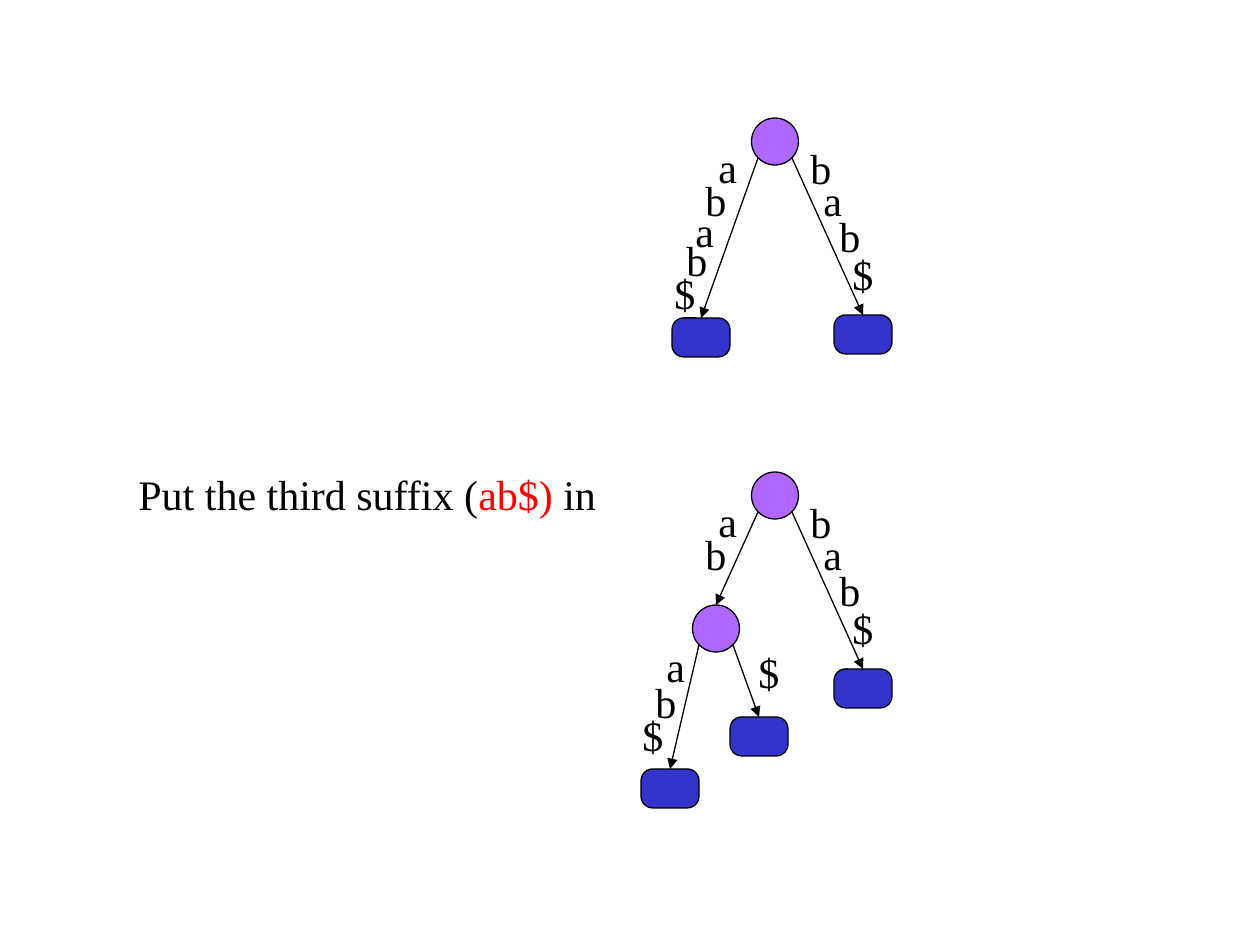
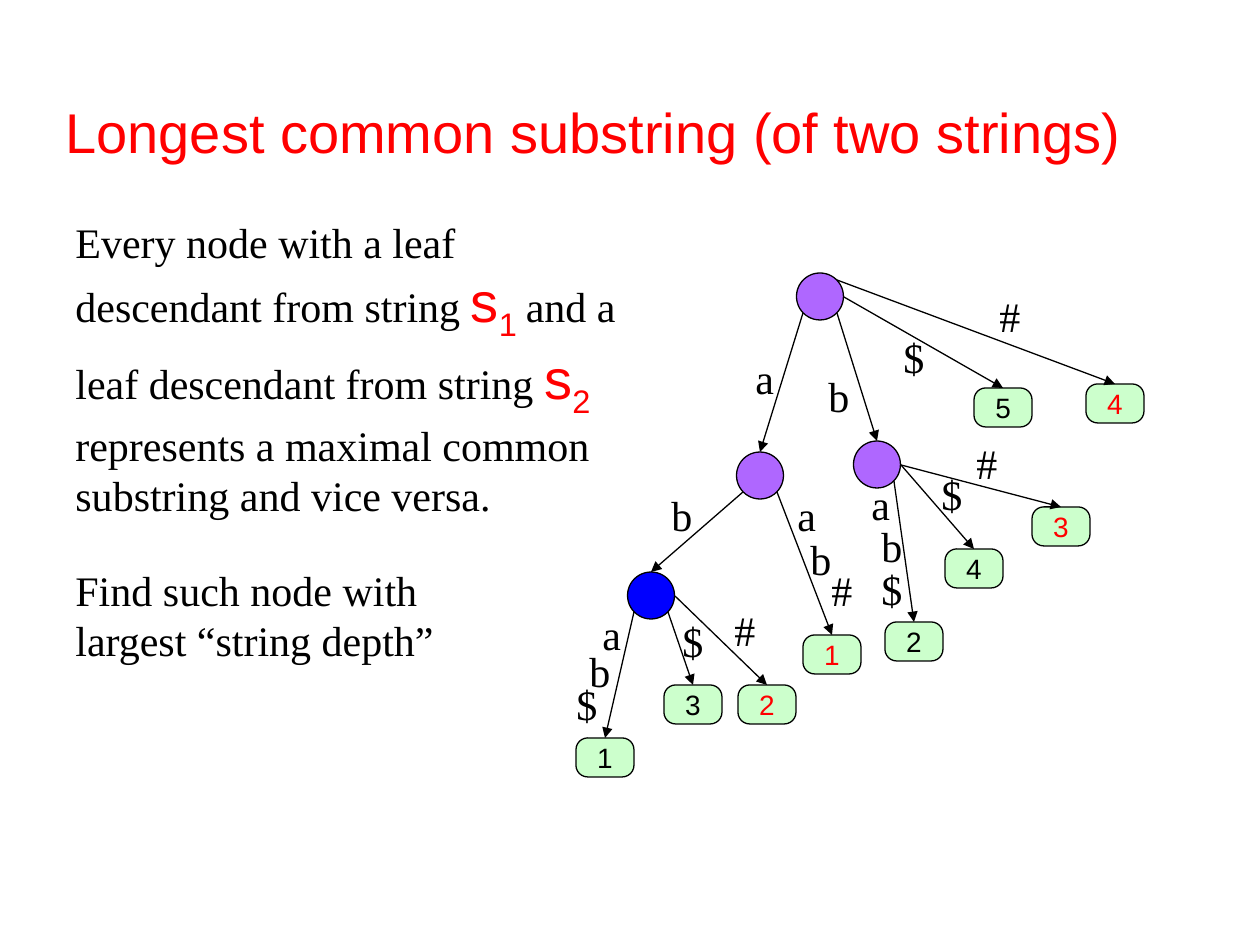
from pptx import Presentation
from pptx.dml.color import RGBColor
from pptx.enum.shapes import MSO_CONNECTOR as CONNECTOR, MSO_SHAPE as SHAPE
from pptx.enum.text import MSO_ANCHOR as ANCHOR, PP_ALIGN as ALIGN
from pptx.oxml.ns import qn
from pptx.util import Emu, Pt
from lxml.etree import SubElement

PX = 914400 / 126
SLIDE_SIZE = (1260, 945)

BLACK = RGBColor(0x00, 0x00, 0x00)
RED = RGBColor(0xFF, 0x00, 0x00)
PURPLE = RGBColor(0xAF, 0x67, 0xFF)
BLUE = RGBColor(0x00, 0x00, 0xFF)
INDIGO = RGBColor(0x33, 0x33, 0xCC)
MINT = RGBColor(0xCC, 0xFF, 0xCC)

BODY = {"name": "Times New Roman", "size": Pt(24)}
HEADING = {"name": "Arial", "size": Pt(32)}
LEAF_LABEL = {"name": "Arial", "size": Pt(16)}

NODE_SIZE = 47
LEAF_SIZE = (58, 39)
LETTER_SIZE = (53, 63)

# Where an edge leaves a node, measured from the node's top centre
LOWER_LEFT, LOWER_RIGHT = (-17, 40), (17, 40)
RIGHT, UPPER_RIGHT = (24, 24), (17, 7)


def px(*lengths):
    return [Emu(round(length * PX)) for length in lengths]


def add_run(paragraph, text, style, color=BLACK, subscript=False):
    run = paragraph.add_run()
    run.text = text
    for attribute, value in style.items():
        setattr(run.font, attribute, value)
    run.font.color.rgb = color
    if subscript:
        run.font._element.set("baseline", "-25000")


def add_text(slide, box, *paragraphs):
    """Each paragraph is a list of add_run argument tuples."""
    frame = slide.shapes.add_textbox(*px(*box)).text_frame
    frame.word_wrap = True
    for index, runs in enumerate(paragraphs):
        paragraph = frame.add_paragraph() if index else frame.paragraphs[0]
        for run in runs:
            add_run(paragraph, *run)


def add_outlined(slide, preset, box, fill):
    shape = slide.shapes.add_shape(preset, *px(*box))
    shape.shadow.inherit = False
    shape.fill.solid()
    shape.fill.fore_color.rgb = fill
    shape.line.color.rgb = BLACK
    shape.line.width = Pt(0.75)
    return shape


def add_node(slide, top_center, fill=PURPLE):
    x, y = top_center
    add_outlined(slide, SHAPE.OVAL,
                 (x - NODE_SIZE / 2, y, NODE_SIZE, NODE_SIZE), fill)


def add_leaf(slide, top_center, fill=INDIGO, label="", color=BLACK):
    x, y = top_center
    width, height = LEAF_SIZE
    leaf = add_outlined(slide, SHAPE.ROUNDED_RECTANGLE,
                        (x - width / 2, y, width, height), fill)
    leaf.adjustments[0] = 0.3
    if label:
        frame = leaf.text_frame
        frame.word_wrap = False
        frame.vertical_anchor = ANCHOR.MIDDLE
        frame.paragraphs[0].alignment = ALIGN.CENTER
        add_run(frame.paragraphs[0], label, LEAF_LABEL, color)


def add_branch(slide, parent, exit_side, child, *letters):
    """Draw an arrow to the child's top centre, with its (letter, x, y) labels."""
    start = (parent[0] + exit_side[0], parent[1] + exit_side[1])
    edge = slide.shapes.add_connector(CONNECTOR.STRAIGHT, *px(*start, *child))
    edge.line.color.rgb = BLACK
    edge.line.width = Pt(0.75)
    SubElement(edge.line._get_or_add_ln(), qn("a:tailEnd"), type="triangle")
    SubElement(edge._element.spPr, qn("a:effectLst"))
    for letter, x, y in letters:
        add_text(slide, (x, y, *LETTER_SIZE), [(letter, BODY)])


def add_root_with_bab(slide, top):
    """Draw the root and its right branch, and return the root."""
    root, leaf = (775, top), (863, top + 197)
    add_node(slide, root)
    add_leaf(slide, leaf)
    add_branch(slide, root, LOWER_RIGHT, leaf, ("b", 798, top + 18),
               ("a", 811, top + 50), ("b", 827, top + 86), ("$", 840, top + 124))
    return root


def build_third_suffix(slide):
    add_text(slide, (126, 462, 483, 63),
             [("Put the third suffix (", BODY), ("ab$)", BODY, RED), (" in", BODY)])

    root, abab = add_root_with_bab(slide, 118), (701, 318)
    add_leaf(slide, abab)
    add_branch(slide, root, LOWER_LEFT, abab, ("a", 706, 135), ("b", 693, 168),
               ("a", 683, 199), ("b", 674, 228), ("$", 662, 261))

    root = add_root_with_bab(slide, 472)
    ab, abab, ab_end = (716, 605), (670, 769), (759, 717)
    add_node(slide, ab)
    for leaf in (abab, ab_end):
        add_leaf(slide, leaf)
    add_branch(slide, root, LOWER_LEFT, ab, ("a", 706, 489), ("b", 693, 522))
    add_branch(slide, ab, LOWER_LEFT, abab,
               ("a", 654, 634), ("b", 643, 670), ("$", 630, 703))
    add_branch(slide, ab, LOWER_RIGHT, ab_end, ("$", 746, 640))


def build_common_substring(slide):
    add_text(slide, (53, 91, 1166, 79),
             [("Longest common substring (of two strings)", HEADING, RED)])
    add_text(slide, (63, 210, 588, 297),
             [("Every node with a leaf descendant from string ", BODY),
              ("s", HEADING, RED), ("1 ", HEADING, RED, True),
              ("and a leaf descendant from string ", BODY),
              ("s", HEADING, RED), ("2", HEADING, RED, True)],
             [("represents a maximal common substring and vice versa.", BODY)])
    add_text(slide, (63, 558, 462, 113),
             [("Find such node with largest “string depth”", BODY)])

    root, a, b, ab = (820, 273), (760, 452), (877, 441), (651, 572)
    for node in (root, a, b):
        add_node(slide, node)
    add_node(slide, ab, BLUE)
    add_branch(slide, root, LOWER_LEFT, a, ("a", 743, 346))
    add_branch(slide, root, LOWER_RIGHT, b, ("b", 816, 364))
    add_branch(slide, a, LOWER_LEFT, ab, ("b", 659, 483))

    # Black leaves are suffixes of the first string, red ones of the second
    suffixes = [
        (ab, LOWER_LEFT, (605, 738), "1", BLACK,
         [("a", 590, 602), ("b", 577, 639), ("$", 564, 672)]),
        (b, LOWER_RIGHT, (914, 622), "2", BLACK,
         [("a", 859, 472), ("b", 869, 514), ("$", 869, 557)]),
        (ab, LOWER_RIGHT, (693, 685), "3", BLACK, [("$", 670, 609)]),
        (b, RIGHT, (974, 549), "4", BLACK, [("$", 929, 462)]),
        (root, RIGHT, (1003, 388), "5", BLACK, [("$", 891, 325)]),
        (a, LOWER_RIGHT, (832, 635), "1", RED,
         [("a", 785, 483), ("b", 798, 527), ("#", 819, 558)]),
        (ab, RIGHT, (767, 685), "2", RED, [("#", 722, 598)]),
        (b, RIGHT, (1061, 507), "3", RED, [("#", 964, 431)]),
        (root, UPPER_RIGHT, (1115, 384), "4", RED, [("#", 987, 284)]),
    ]
    for parent, exit_side, leaf, number, color, letters in suffixes:
        add_leaf(slide, leaf, MINT, number, color)
        add_branch(slide, parent, exit_side, leaf, *letters)


def main():
    deck = Presentation()
    deck.slide_width, deck.slide_height = px(*SLIDE_SIZE)
    blank = deck.slide_layouts[6]
    for build in (build_third_suffix, build_common_substring):
        build(deck.slides.add_slide(blank))
    deck.save("out.pptx")


if __name__ == "__main__":
    main()
